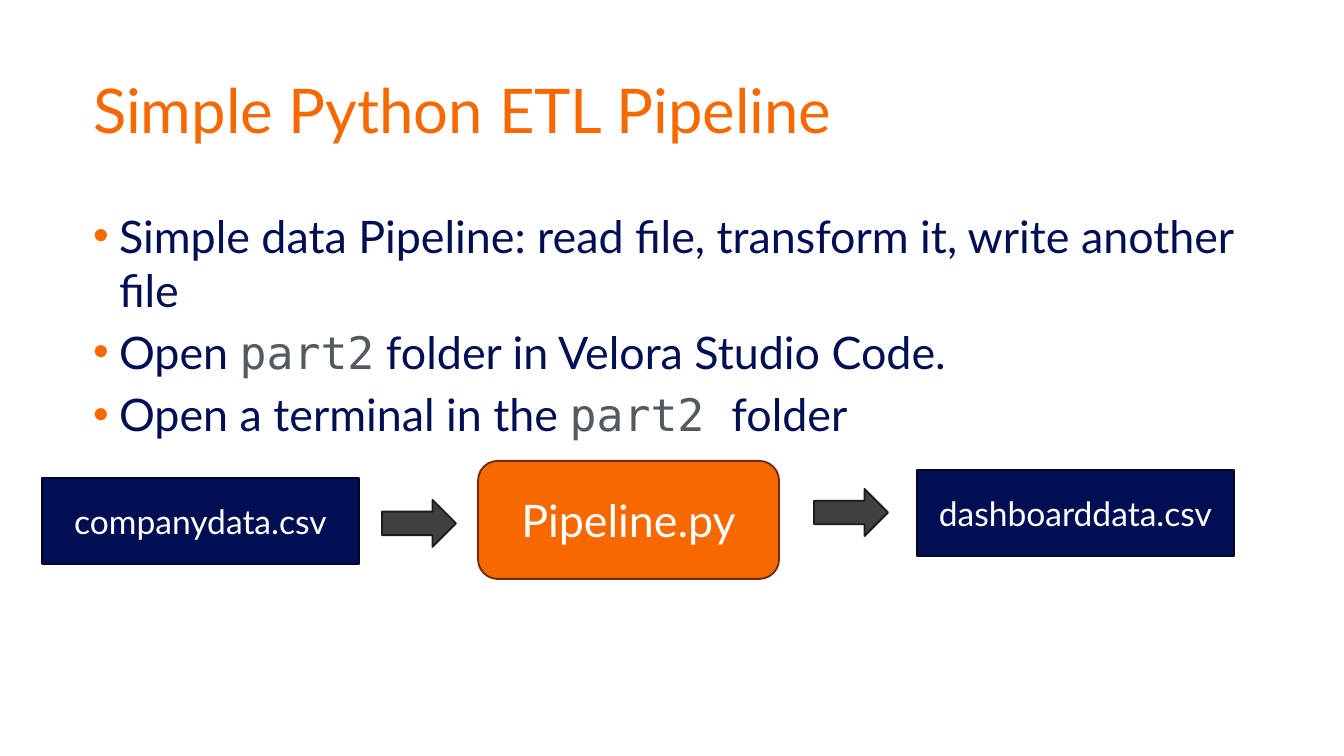
from lxml import etree
from pptx import Presentation
from pptx.dml.color import RGBColor
from pptx.enum.shapes import MSO_SHAPE
from pptx.enum.text import MSO_ANCHOR, PP_ALIGN
from pptx.oxml.ns import qn
from pptx.util import Pt

BOX = MSO_SHAPE.FLOWCHART_PROCESS
ROUND = MSO_SHAPE.FLOWCHART_ALTERNATE_PROCESS
ARROW = MSO_SHAPE.RIGHT_ARROW
MID = MSO_ANCHOR.MIDDLE
TOP = MSO_ANCHOR.TOP
LEFT = PP_ALIGN.LEFT
CENTER = PP_ALIGN.CENTER

ORANGE = RGBColor(0xF7, 0x69, 0x00)
BROWN = RGBColor(0x6C, 0x2E, 0x00)
NAVY = RGBColor(0x00, 0x0E, 0x54)
INK = RGBColor(0x00, 0x06, 0x25)
GRAY = RGBColor(0x53, 0x5A, 0x60)
DARK = RGBColor(0x3F, 0x40, 0x3F)
BLACK = RGBColor(0x1C, 0x1C, 0x1C)
WHITE = RGBColor(0xFF, 0xFF, 0xFF)

SCALE = 914400 / 134.4
WIDE, HIGH = 1344, 756
MARGIN = 93
INDENT = 26

TITLE = "Simple Python ETL Pipeline"
PLAIN = {"name": "Lato", "size": Pt(24)}
CODE = {"name": "DejaVu Sans Mono", "size": Pt(24)}
POINTS = [
    [("Simple data Pipeline: read file, transform it, write another file", PLAIN, NAVY)],
    [("Open ", PLAIN, NAVY), ("part2", CODE, GRAY),
     (" folder in Velora Studio Code.", PLAIN, NAVY)],
    [("Open a terminal in the ", PLAIN, NAVY), ("part2 ", CODE, GRAY),
     ("folder", PLAIN, NAVY)],
]

STYLES = {
    "file": {"kind": BOX, "size": (317, 86), "fill": NAVY, "line": INK, "font": 18},
    "step": {"kind": ROUND, "size": (301, 118), "fill": ORANGE, "line": BROWN, "font": 24},
    "flow": {"kind": ARROW, "size": (74, 47), "fill": DARK, "line": BLACK, "font": 18},
}
PARTS = [
    ("file", "companydata.csv", 42, 478),
    ("file", "dashboarddata.csv", 917, 470),
    ("step", "Pipeline.py", 478, 461),
    ("flow", "", 382, 500),
    ("flow", "", 814, 489),
]


def px(n):
    return round(n * SCALE)


def apply(item, values):
    for key, value in values.items():
        setattr(item, key, value)


def write(para, text, font, color):
    run = para.add_run()
    run.text = text
    apply(run.font, font)
    run.font.color.rgb = color


def bullet(para):
    props = para._p.get_or_add_pPr()
    props.set("marL", str(px(INDENT)))
    props.set("indent", str(-px(INDENT)))
    tint = etree.SubElement(props, qn("a:buClr"))
    etree.SubElement(tint, qn("a:srgbClr")).set("val", str(ORANGE))
    etree.SubElement(props, qn("a:buFont")).set("typeface", "Arial")
    etree.SubElement(props, qn("a:buChar")).set("char", "•")


def head(slide):
    title = slide.shapes.title
    apply(title, {"left": px(MARGIN), "top": px(40),
                  "width": px(WIDE - 2 * MARGIN), "height": px(147)})
    frame = title.text_frame
    apply(frame, {"margin_left": 0, "margin_right": 0,
                  "vertical_anchor": MID, "word_wrap": True})
    para = frame.paragraphs[0]
    apply(para, {"alignment": LEFT, "line_spacing": 0.9})
    write(para, TITLE, {"name": "Lato", "size": Pt(33)}, ORANGE)


def body(slide):
    box = slide.shapes.add_textbox(px(MARGIN), px(202), px(WIDE - 2 * MARGIN), px(231))
    frame = box.text_frame
    apply(frame, {"margin_left": 0, "margin_right": 0,
                  "vertical_anchor": TOP, "word_wrap": True})
    for i, runs in enumerate(POINTS):
        para = frame.add_paragraph() if i else frame.paragraphs[0]
        apply(para, {"alignment": LEFT, "space_before": Pt(4.5)})
        bullet(para)
        for text, font, color in runs:
            write(para, text, font, color)


def part(slide, style, text, left, top):
    look = STYLES[style]
    shape = slide.shapes.add_shape(look["kind"], px(left), px(top), *map(px, look["size"]))
    shape.shadow.inherit = False
    shape.fill.solid()
    shape.fill.fore_color.rgb = look["fill"]
    shape.line.color.rgb = look["line"]
    shape.line.width = Pt(1)
    if text:
        frame = shape.text_frame
        apply(frame, {"vertical_anchor": MID, "word_wrap": True})
        para = frame.paragraphs[0]
        para.alignment = CENTER
        write(para, text, {"name": "Lato", "size": Pt(look["font"])}, WHITE)


def main():
    deck = Presentation()
    apply(deck, {"slide_width": px(WIDE), "slide_height": px(HIGH)})
    slide = deck.slides.add_slide(deck.slide_layouts[5])
    head(slide)
    body(slide)
    for item in PARTS:
        part(slide, *item)
    deck.save("out.pptx")


if __name__ == "__main__":
    main()
